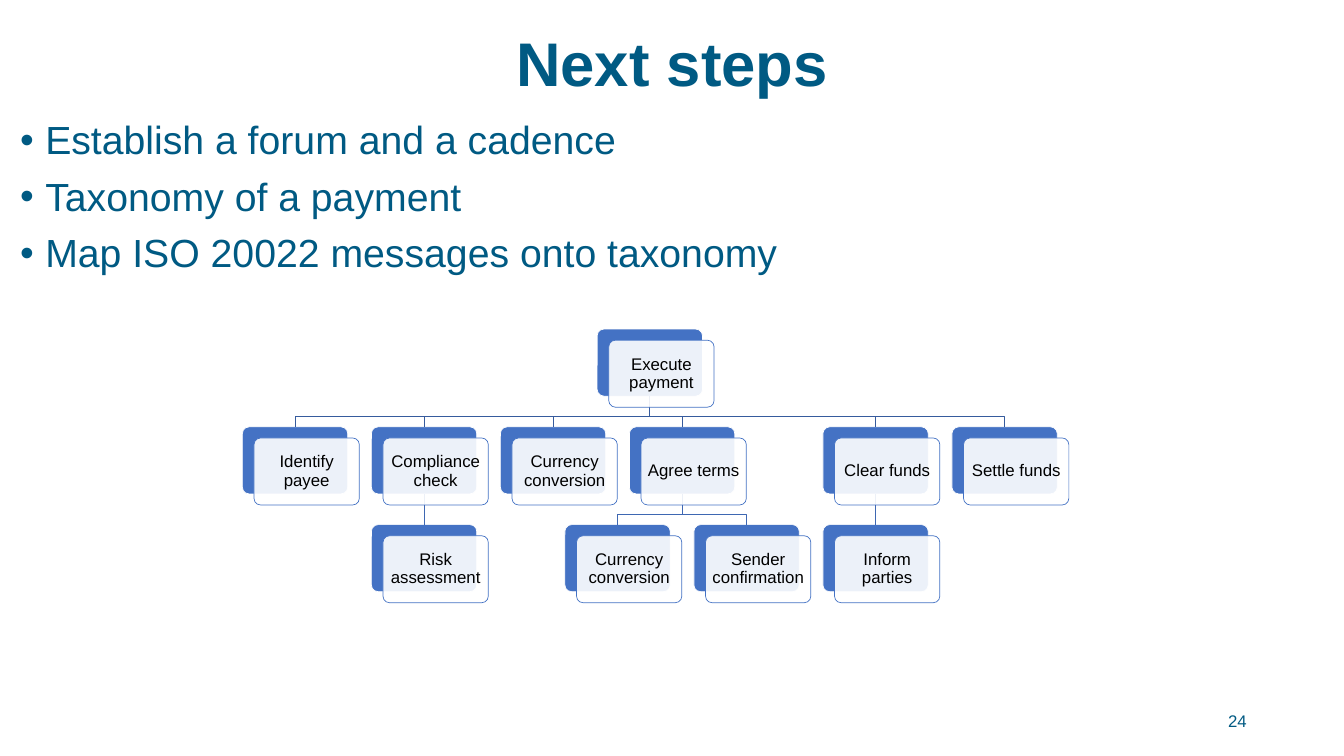
from dataclasses import dataclass

from lxml import etree
from pptx import Presentation
from pptx.dml.color import RGBColor
from pptx.enum.shapes import MSO_CONNECTOR, MSO_SHAPE
from pptx.enum.text import MSO_ANCHOR, PP_ALIGN
from pptx.oxml.ns import qn
from pptx.util import Inches, Pt

STRAIGHT = MSO_CONNECTOR.STRAIGHT
ROUNDED = MSO_SHAPE.ROUNDED_RECTANGLE
TOP, MIDDLE = MSO_ANCHOR.TOP, MSO_ANCHOR.MIDDLE
LEFT, CENTER, RIGHT = PP_ALIGN.LEFT, PP_ALIGN.CENTER, PP_ALIGN.RIGHT
BOTTOM_SITE, TOP_SITE = 2, 0


@dataclass(frozen=True)
class Theme:
    """Colours, font and type sizes of the slide."""
    font: str = "Arial"
    heading: RGBColor = RGBColor(0x00, 0x5A, 0x83)
    label: RGBColor = RGBColor(0x00, 0x00, 0x00)
    white: RGBColor = RGBColor(0xFF, 0xFF, 0xFF)
    card: RGBColor = RGBColor(0x44, 0x72, 0xC4)
    links: tuple = (RGBColor(0x36, 0x5B, 0x9D), RGBColor(0x3E, 0x67, 0xB2))
    title_size: int = 88
    bullet_size: int = 56
    small_size: int = 24


@dataclass(frozen=True)
class Step:
    """A card of the payment taxonomy; column may be fractional."""
    name: str
    column: float
    level: int
    parent: int = 0


THEME = Theme()
AGENDA = ["Establish a forum and a cadence", "Taxonomy of a payment",
          "Map ISO 20022 messages onto taxonomy"]
STEPS = [
    Step("Execute payment", 2.75, 0),
    Step("Identify payee", 0, 1),
    Step("Compliance check", 1, 1),
    Step("Currency conversion", 2, 1),
    Step("Agree terms", 3, 1),
    Step("Clear funds", 4.5, 1),
    Step("Settle funds", 5.5, 1),
    Step("Risk assessment", 1, 2, 2),
    Step("Currency conversion", 2.5, 2, 4),
    Step("Sender confirmation", 3.5, 2, 4),
    Step("Inform parties", 4.5, 2, 5),
]
TREE_LEFT, TREE_TOP = 4.81, 6.53
COLUMN_PITCH, LEVEL_PITCH = 2.56, 1.94
CARD_WIDTH, CARD_HEIGHT = 2.09, 1.33
FRONT_SHIFT = (0.23, 0.22)
LINK_DROP = 0.41


def position(step):
    """Return the left and top of a step's back card in inches."""
    return (TREE_LEFT + step.column * COLUMN_PITCH,
            TREE_TOP + step.level * LEVEL_PITCH)


def write(paragraph, text, size, color, align, bold=False):
    """Put one formatted run into a paragraph."""
    paragraph.alignment = align
    run = paragraph.add_run()
    run.text = text
    run.font.name, run.font.size, run.font.bold = THEME.font, Pt(size), bold
    run.font.color.rgb = color


def add_text_frame(slide, left, top, width, height, anchor):
    """Add a wrapping text box and return its frame."""
    box = slide.shapes.add_textbox(Inches(left), Inches(top),
                                   Inches(width), Inches(height))
    frame = box.text_frame
    frame.word_wrap = True
    frame.vertical_anchor = anchor
    return frame


def add_title(slide, text):
    """Add the centred slide title."""
    title = add_text_frame(slide, 0.62, 0.51, 25.43, 1.63, MIDDLE).paragraphs[0]
    title.line_spacing = 0.9
    write(title, text, THEME.title_size, THEME.heading, CENTER, bold=True)


def add_bullets(slide, items):
    """Add the bulleted agenda."""
    frame = add_text_frame(slide, 0.3, 2.35, 25.43, 3.6, TOP)
    for index, item in enumerate(items):
        bullet = frame.add_paragraph() if index else frame.paragraphs[0]
        properties = bullet._p.get_or_add_pPr()
        properties.set("marL", str(Inches(0.5)))
        properties.set("indent", str(-Inches(0.5)))
        bullet.line_spacing = 0.9
        if index:
            bullet.space_before = Pt(20)
        etree.SubElement(properties, qn("a:buFont"), typeface=THEME.font)
        etree.SubElement(properties, qn("a:buChar"), char="•")
        write(bullet, item, THEME.bullet_size, THEME.heading, LEFT)


def add_page_number(slide, number):
    """Add the page number at the lower right."""
    page = add_text_frame(slide, 18.84, 13.9, 6, 0.8, MIDDLE).paragraphs[0]
    write(page, number, THEME.small_size, THEME.heading, RIGHT)


def add_card(slide, left, top, fill, outline):
    """Add one rounded card of the taxonomy."""
    card = slide.shapes.add_shape(ROUNDED, Inches(left), Inches(top),
                                  Inches(CARD_WIDTH), Inches(CARD_HEIGHT))
    card.adjustments[0] = 0.1
    card.shadow.inherit = False
    card.fill.solid()
    card.fill.fore_color.rgb = fill
    card.line.color.rgb = outline
    card.line.width = Pt(1)
    return card


def add_label_card(slide, step):
    """Add the translucent front card that carries a step's name."""
    left, top = position(step)
    card = add_card(slide, left + FRONT_SHIFT[0], top + FRONT_SHIFT[1],
                    THEME.white, THEME.card)
    white = card.fill._xPr.find(qn("a:solidFill"))[0]
    etree.SubElement(white, qn("a:alpha"), val="90000")
    frame = card.text_frame
    frame.word_wrap = True
    frame.vertical_anchor = MIDDLE
    frame.margin_left = frame.margin_right = Inches(0.09)
    frame.margin_top = frame.margin_bottom = Inches(0.1)
    label = frame.paragraphs[0]
    label.line_spacing = 0.9
    write(label, step.name, THEME.small_size, THEME.label, CENTER)


def add_straight_link(slide, parent_card, child_card):
    """Join two vertically aligned cards."""
    link = slide.shapes.add_connector(STRAIGHT, 0, 0, 0, 0)
    link.begin_connect(parent_card, BOTTOM_SITE)
    link.end_connect(child_card, TOP_SITE)
    etree.SubElement(link._element.spPr, qn("a:effectLst"))
    return link


def add_bent_link(slide, parent, child):
    """Draw a link that drops, runs sideways and drops to the child."""
    (parent_left, parent_top), (child_left, child_top) = position(parent), position(child)
    start_x, end_x = parent_left + CARD_WIDTH / 2, child_left + CARD_WIDTH / 2
    start_y = parent_top + CARD_HEIGHT
    bend_y = start_y + LINK_DROP
    builder = slide.shapes.build_freeform(Inches(start_x), Inches(start_y))
    corners = [(start_x, bend_y), (end_x, bend_y), (end_x, child_top)]
    builder.add_line_segments([(Inches(x), Inches(y)) for x, y in corners], close=False)
    link = builder.convert_to_shape()
    link.shadow.inherit = False
    link.fill.background()
    return link


def add_taxonomy(slide, steps):
    """Draw the back cards, their links and then the labelled cards."""
    back_cards = [add_card(slide, *position(step), THEME.card, THEME.white)
                  for step in steps]
    for step, card in zip(steps[1:], back_cards[1:]):
        parent = steps[step.parent]
        if step.column == parent.column:
            link = add_straight_link(slide, back_cards[step.parent], card)
        else:
            link = add_bent_link(slide, parent, step)
        link.line.color.rgb = THEME.links[parent.level]
        link.line.width = Pt(1)
    for step in steps:
        add_label_card(slide, step)


def main():
    """Build and save the slide."""
    deck = Presentation()
    deck.slide_width, deck.slide_height = Inches(26.67), Inches(15)
    slide = deck.slides.add_slide(deck.slide_layouts[6])
    add_title(slide, "Next steps")
    add_bullets(slide, AGENDA)
    add_page_number(slide, "24")
    add_taxonomy(slide, STEPS)
    deck.save("out.pptx")


if __name__ == "__main__":
    main()
